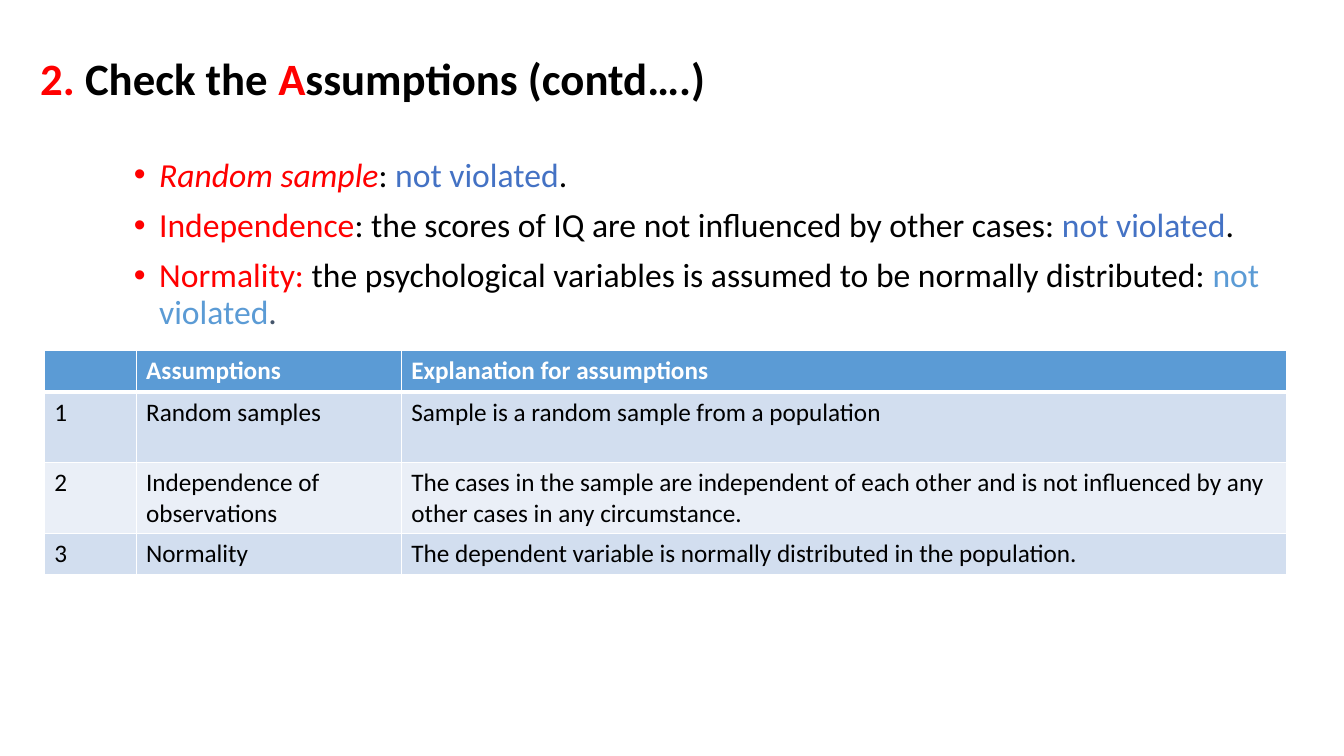
from dataclasses import dataclass

from lxml import etree
from pptx import Presentation
from pptx.dml.color import RGBColor
from pptx.enum.text import MSO_ANCHOR
from pptx.oxml.ns import qn
from pptx.util import Emu, Pt

MIDDLE, TOP = MSO_ANCHOR.MIDDLE, MSO_ANCHOR.TOP
EMU_PER_PX = 9144
FONT = "Calibri"
RED, BLACK, WHITE = "FF0000", "000000", "FFFFFF"
BLUE, SKY, SLATE = "4472C4", "5B9BD5", "44546A"
BANDS = ("D2DEEF", "EAEFF7")


@dataclass(frozen=True)
class Span:
    """A stretch of text in one format."""
    text: str
    color: str = BLACK
    bold: bool = False
    italic: bool = False


@dataclass(frozen=True)
class TextBlock:
    """A text box with its place and paragraphs."""
    frame: tuple[int, int, int, int]
    paras: list[list[Span]]
    size: int
    anchor: MSO_ANCHOR
    space_before: int = 0
    bulleted: bool = False


TITLE = TextBlock((30, 40, 1261, 80), [[
    Span("2. ", RED, True), Span("Check the ", BLACK, True),
    Span("A", RED, True), Span("ssumptions (contd….)", BLACK, True),
]], 32, MIDDLE)

CHECKS = TextBlock((123, 152, 1146, 265), [
    [Span("Random sample", RED, italic=True), Span(": "),
     Span("not violated", BLUE), Span(".")],
    [Span("Independence", RED),
     Span(": the scores of IQ are not influenced by other cases: "),
     Span("not violated", BLUE), Span(".")],
    [Span("Normality: ", RED),
     Span("the psychological variables is assumed to be normally distributed: "),
     Span("not violated", SKY), Span(".", SLATE)],
], 24, TOP, 10, True)

TABLE_FRAME = (44, 348, 1232, 222)
COLUMN_WIDTHS = (91, 263, 878)
ROW_HEIGHTS = (41, 70, 70, 41)
ROWS = (
    ("", "Assumptions", "Explanation for assumptions"),
    ("1", "Random samples", "Sample is a random sample from a population"),
    ("2", "Independence of observations",
     "The cases in the sample are independent of each other and is not "
     "influenced by any other cases in any circumstance."),
    ("3", "Normality",
     "The dependent variable is normally distributed in the population."),
)


def px(length: int) -> Emu:
    """Turn px into EMU."""
    return Emu(length * EMU_PER_PX)


def rgb(color: str) -> RGBColor:
    """Turn a hex string into a colour."""
    return RGBColor.from_string(color)


def add_span(para, span: Span, size: int) -> None:
    """Add one formatted run to a paragraph."""
    run = para.add_run()
    run.text = span.text
    formats = {"name": FONT, "size": Pt(size), "bold": span.bold, "italic": span.italic}
    for name, value in formats.items():
        setattr(run.font, name, value)
    run.font.color.rgb = rgb(span.color)


def add_bullet(para, color: str) -> None:
    """Give a paragraph a hanging bullet."""
    properties = para._p.get_or_add_pPr()
    properties.set("marL", str(px(25)))
    properties.set("indent", str(-px(25)))
    bullet_color = etree.SubElement(properties, qn("a:buClr"))
    etree.SubElement(bullet_color, qn("a:srgbClr"), val=color)
    etree.SubElement(properties, qn("a:buFont"), typeface="Arial")
    etree.SubElement(properties, qn("a:buChar"), char="•")


def add_text(page, block: TextBlock) -> None:
    """Draw a text block."""
    box = page.shapes.add_textbox(*map(px, block.frame))
    text_frame = box.text_frame
    text_frame.word_wrap = True
    text_frame.vertical_anchor = block.anchor
    for index, spans in enumerate(block.paras):
        para = text_frame.add_paragraph() if index else text_frame.paragraphs[0]
        para.line_spacing = 0.9
        para.space_before = Pt(block.space_before)
        if block.bulleted:
            add_bullet(para, spans[0].color)
        for span in spans:
            add_span(para, span, block.size)


def set_borders(cell, widths: dict[str, int]) -> None:
    """Draw white borders of the given point widths."""
    properties = cell._tc.get_or_add_tcPr()
    for side, width in widths.items():
        line = etree.SubElement(properties, qn(f"a:ln{side}"), w=str(Pt(width)))
        fill = etree.SubElement(line, qn("a:solidFill"))
        etree.SubElement(fill, qn("a:srgbClr"), val=WHITE)


def add_assumption_table(page) -> None:
    """Draw the table of assumptions."""
    shape = page.shapes.add_table(len(ROWS), len(COLUMN_WIDTHS), *map(px, TABLE_FRAME))
    table = shape.table
    for column, width in zip(table.columns, COLUMN_WIDTHS):
        column.width = px(width)
    for index, (row, height, texts) in enumerate(zip(table.rows, ROW_HEIGHTS, ROWS)):
        row.height = px(height)
        header = index == 0
        borders = {"L": 1, "R": 1, "T": 3 if index == 1 else 1, "B": 3 if header else 1}
        for cell, text in zip(row.cells, texts):
            set_borders(cell, borders)
            cell.fill.solid()
            cell.fill.fore_color.rgb = rgb(SKY if header else BANDS[(index - 1) % 2])
            if text:
                span = Span(text, WHITE if header else BLACK, header)
                add_span(cell.text_frame.paragraphs[0], span, 18)


def main() -> None:
    """Build and save the deck."""
    deck = Presentation()
    deck.slide_width, deck.slide_height = px(1333), px(750)
    page = deck.slides.add_slide(deck.slide_layouts[6])
    for block in (TITLE, CHECKS):
        add_text(page, block)
    add_assumption_table(page)
    deck.save("out.pptx")


if __name__ == "__main__":
    main()
